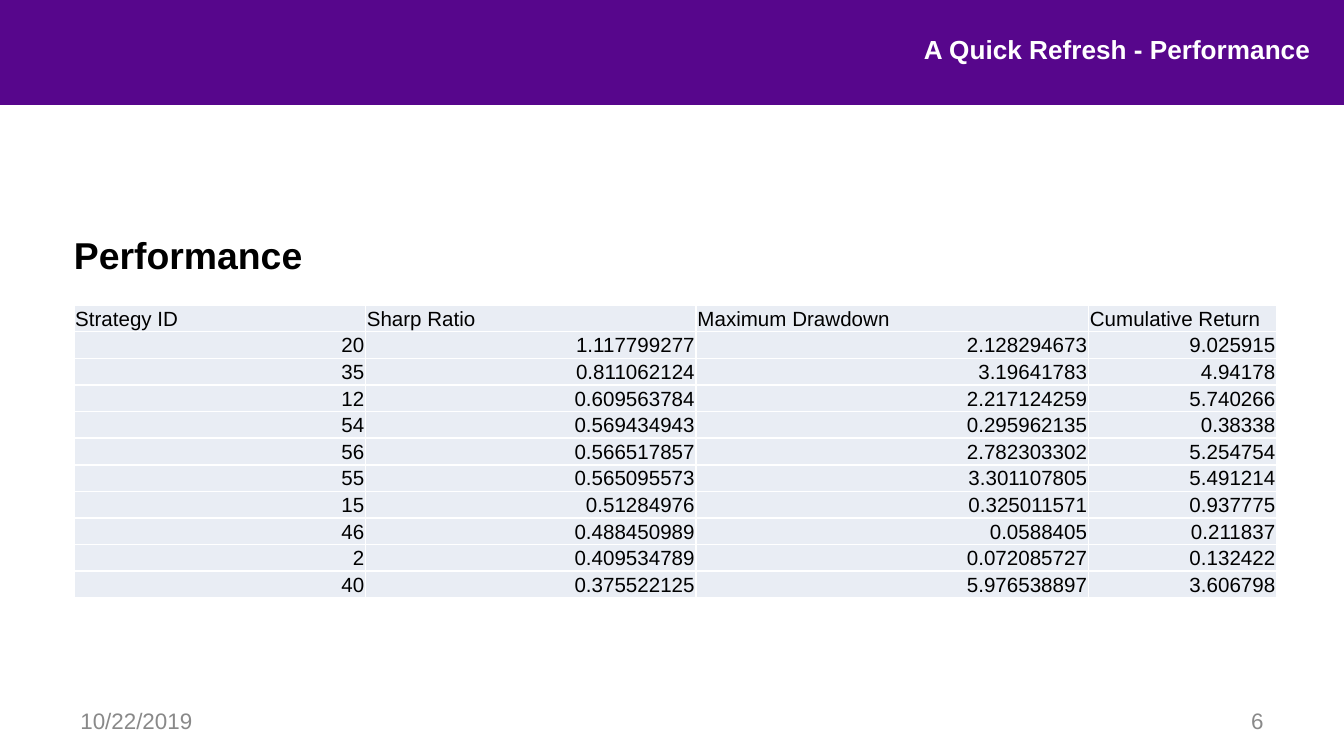
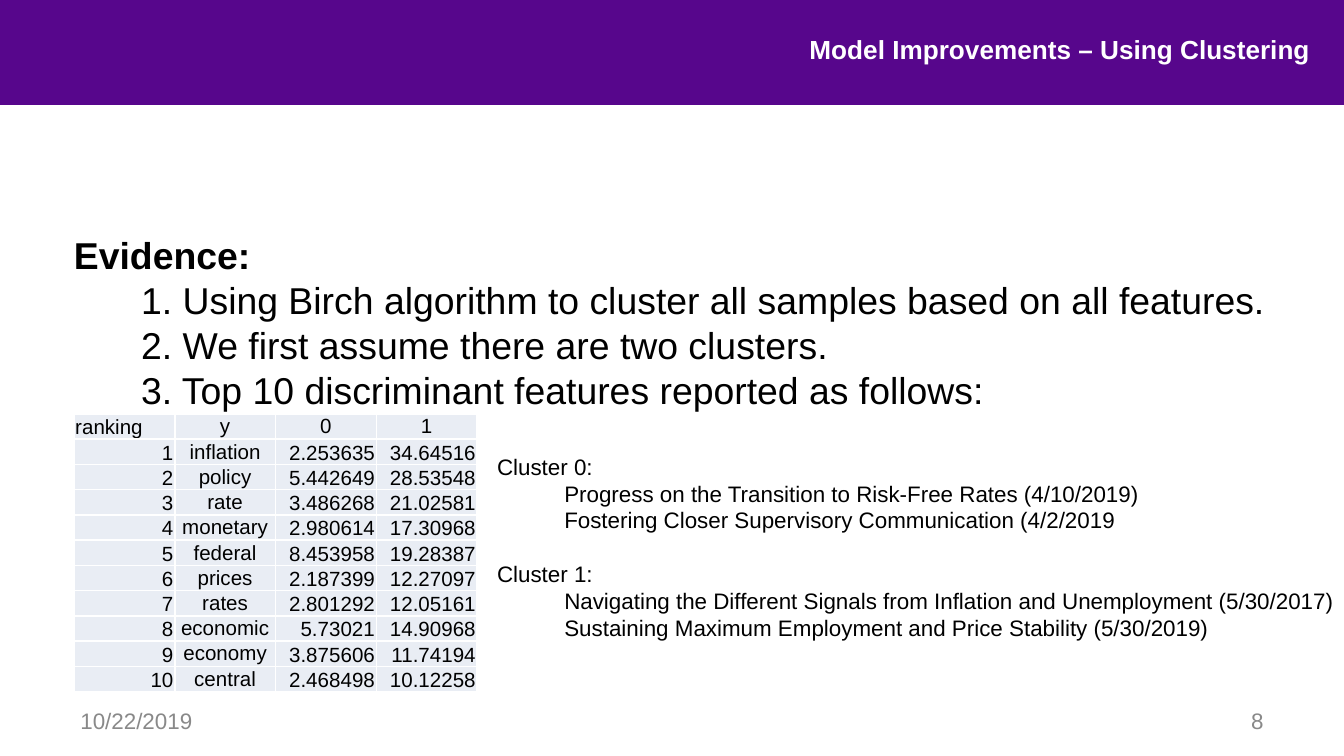
from lxml import etree
from pptx import Presentation
from pptx.dml.color import RGBColor
from pptx.enum.shapes import MSO_SHAPE
from pptx.enum.text import MSO_ANCHOR, MSO_AUTO_SIZE, PP_ALIGN
from pptx.oxml.ns import qn
from pptx.util import Inches, Pt

RECT = MSO_SHAPE.RECTANGLE
TOP, MID, LOW = MSO_ANCHOR.TOP, MSO_ANCHOR.MIDDLE, MSO_ANCHOR.BOTTOM
NO_FIT = MSO_AUTO_SIZE.NONE
ALIGN = {"l": PP_ALIGN.LEFT, "c": PP_ALIGN.CENTER, "r": PP_ALIGN.RIGHT}
FONT = "Arial"
PURPLE, PALE, GREY = "57068C", "E9EDF4", "898989"
WHITE, BLACK = "FFFFFF", "000000"
DATE = "10/22/2019"
LEFT = 0.55

SCORES = [
    ("Strategy ID", "Sharp Ratio", "Maximum Drawdown", "Cumulative Return"),
    ("20", "1.117799277", "2.128294673", "9.025915"),
    ("35", "0.811062124", "3.19641783", "4.94178"),
    ("12", "0.609563784", "2.217124259", "5.740266"),
    ("54", "0.569434943", "0.295962135", "0.38338"),
    ("56", "0.566517857", "2.782303302", "5.254754"),
    ("55", "0.565095573", "3.301107805", "5.491214"),
    ("15", "0.51284976", "0.325011571", "0.937775"),
    ("46", "0.488450989", "0.0588405", "0.211837"),
    ("2", "0.409534789", "0.072085727", "0.132422"),
    ("40", "0.375522125", "5.976538897", "3.606798"),
]
WORDS = [
    ("ranking", "y", "0", "1"),
    ("1", "inflation", "2.253635", "34.64516"),
    ("2", "policy", "5.442649", "28.53548"),
    ("3", "rate", "3.486268", "21.02581"),
    ("4", "monetary", "2.980614", "17.30968"),
    ("5", "federal", "8.453958", "19.28387"),
    ("6", "prices", "2.187399", "12.27097"),
    ("7", "rates", "2.801292", "12.05161"),
    ("8", "economic", "5.73021", "14.90968"),
    ("9", "economy", "3.875606", "11.74194"),
    ("10", "central", "2.468498", "10.12258"),
]
STEPS = [
    "1. Using Birch algorithm to cluster all samples based on all features.",
    "2. We first assume there are two clusters.",
    "3. Top 10 discriminant features reported as follows:",
]
GROUPS = [
    ("Cluster 0:", [
        "Progress on the Transition to Risk-Free Rates (4/10/2019)",
        "Fostering Closer Supervisory Communication (4/2/2019"]),
    ("Cluster 1:", [
        "Navigating the Different Signals from Inflation and Unemployment (5/30/2017)",
        "Sustaining Maximum Employment and Price Stability (5/30/2019)"]),
]


def rgb(code):
    """Turn a hex string into a colour."""
    return RGBColor.from_string(code)


def write(frame, text, size=12, color=BLACK, bold=False, align="l",
          indent=0, before=0, first=True):
    """Write one paragraph, the first of the frame or a further one."""
    para = frame.paragraphs[0] if first else frame.add_paragraph()
    para.alignment = ALIGN[align]
    para.space_before = Pt(before)
    if indent:
        para._p.get_or_add_pPr().set("marL", str(Inches(indent)))
    run = para.add_run()
    run.text = text
    font = run.font
    font.name, font.size, font.bold = FONT, Pt(size), bold
    font.color.rgb = rgb(color)


def place(shape, x, y, w, h):
    """Set the position and size of a shape."""
    shape.left, shape.top = Inches(x), Inches(y)
    shape.width, shape.height = Inches(w), Inches(h)


def set_up(frame, pad, anchor=TOP):
    """Wrap a frame and set its insets and anchor."""
    frame.word_wrap = True
    frame.auto_size = NO_FIT
    frame.vertical_anchor = anchor
    if pad is not None:
        frame.margin_left = frame.margin_right = Inches(pad)
        frame.margin_top = frame.margin_bottom = Inches(pad)


def add_box(slide, x, y, w, h, pad=None, anchor=TOP):
    """Add a text box and return its frame."""
    box = slide.shapes.add_textbox(Inches(x), Inches(y), Inches(w), Inches(h))
    set_up(box.text_frame, pad, anchor)
    return box.text_frame


def add_page(deck, title, number, width):
    """Add a slide with its band, title, date and number."""
    slide = deck.slides.add_slide(deck.slide_layouts[5])
    band = slide.shapes.add_shape(RECT, 0, 0, Inches(10.01), Inches(0.78))
    band.shadow.inherit = False
    band.fill.solid()
    band.fill.fore_color.rgb = rgb(PURPLE)
    band.line.fill.background()
    slide.shapes.element.insert(2, band.element)

    head = slide.shapes.title
    place(head, 9.75 - width, 0.25, width, 0.29)
    set_up(head.text_frame, 0)
    write(head.text_frame, title, size=14, color=WHITE, bold=True, align="r")

    for x, text, align in ((0.5, DATE, "l"), (7.17, number, "r")):
        frame = add_box(slide, x, 5.21, 2.33, 0.3, anchor=MID)
        write(frame, text, color=GREY, align=align)
    return slide


def add_body(slide, head, steps=()):
    """Add a bold heading with indented lines below it."""
    frame = add_box(slide, LEFT, 1.73, 9.09, 3.42, pad=0)
    write(frame, head, size=20, bold=True)
    for step in steps:
        write(frame, step, size=20, indent=0.5, first=False)


def add_edges(cell):
    """Give a cell thin white borders."""
    props = cell._tc.get_or_add_tcPr()
    for side in ("lnL", "lnR", "lnT", "lnB"):
        line = etree.SubElement(props, qn(f"a:{side}"), w=str(Pt(1)))
        fill = etree.SubElement(line, qn("a:solidFill"))
        etree.SubElement(fill, qn("a:srgbClr"), val=WHITE)


def add_grid(slide, rows, y, widths, height, head, body, anchor):
    """Add a table; head and body give one alignment letter a column."""
    shape = slide.shapes.add_table(
        len(rows), len(widths), Inches(LEFT), Inches(y),
        Inches(sum(widths)), Inches(height))
    table = shape.table
    table.first_row = table.horz_banding = False
    for col, width in zip(table.columns, widths):
        col.width = Inches(width)
    for r, row in enumerate(rows):
        for c, text in enumerate(row):
            cell = table.cell(r, c)
            align = body[c] if r else head[c]
            add_edges(cell)
            cell.fill.solid()
            cell.fill.fore_color.rgb = rgb(PALE)
            cell.margin_left = cell.margin_right = Inches(0.01)
            cell.margin_top, cell.margin_bottom = Inches(0.01), 0
            cell.vertical_anchor = TOP if align == "c" else anchor
            write(cell.text_frame, text, size=11, align=align)


def add_groups(slide):
    """List the speeches of each cluster."""
    frame = add_box(slide, 3.6, 3.32, 6.52, 1.92)
    for i, (name, talks) in enumerate(GROUPS):
        write(frame, name, before=14.4 if i else 0, first=i == 0)
        for talk in talks:
            write(frame, talk, indent=0.5, first=False)


def main():
    """Build and save the deck."""
    deck = Presentation()
    deck.slide_width = Inches(10)
    deck.slide_height = deck.slide_width * 9 // 16

    slide = add_page(deck, "A Quick Refresh - Performance", "6", 3)
    add_body(slide, "Performance")
    add_grid(slide, SCORES, 2.27, (2.17, 2.46, 2.92, 1.4), 2.18,
             "llll", "rrrr", MID)

    slide = add_page(deck, "Model Improvements – Using Clustering", "8", 3.86)
    add_body(slide, "Evidence:", STEPS)
    add_grid(slide, WORDS, 3.08, (0.75,) * 4, 2.07, "lccc", "rcrr", LOW)
    add_groups(slide)

    deck.save("out.pptx")


if __name__ == "__main__":
    main()
